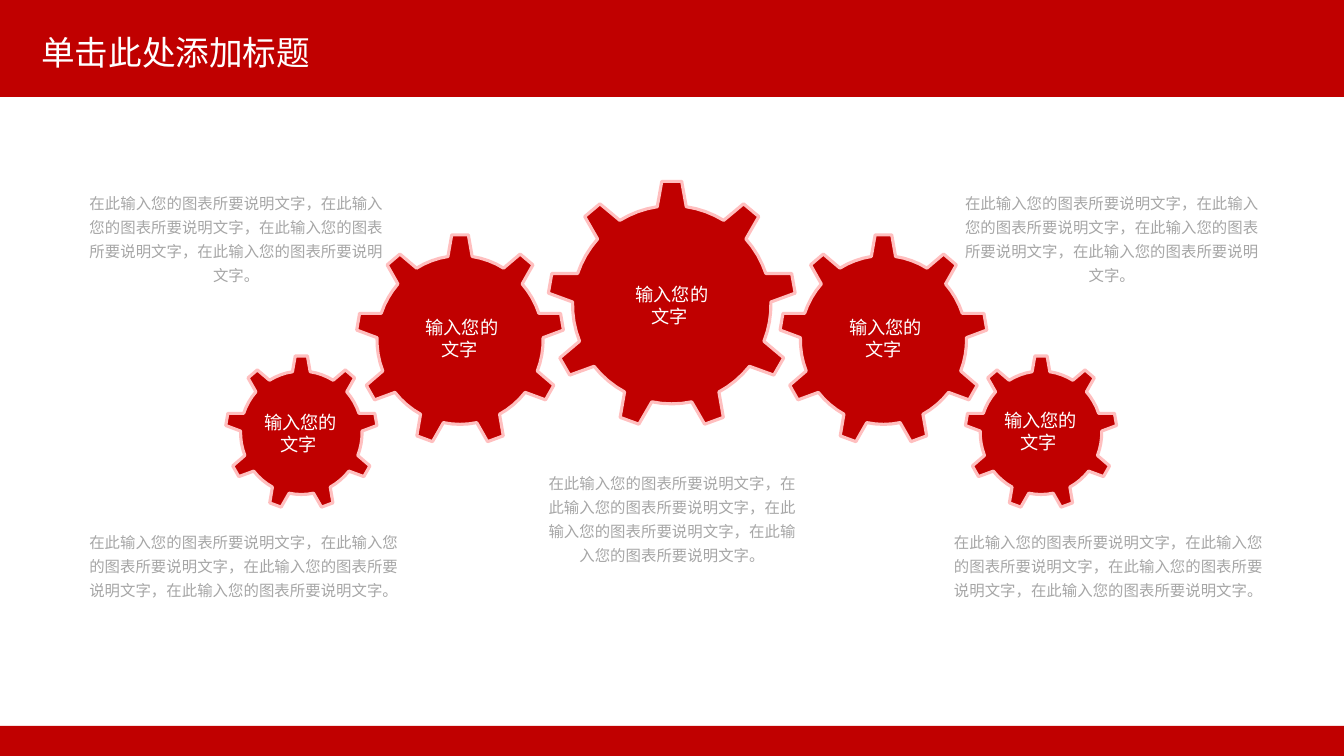
from math import cos, radians, sin

from lxml import etree
from pptx import Presentation
from pptx import util as u
from pptx.dml.color import RGBColor
from pptx.enum import shapes, text
from pptx.oxml.ns import qn

HUES = {"red": "C00000", "pink": "FFBFBF", "gray": "A6A6A6", "white": "FFFFFF"}
SANS = "Noto Sans CJK SC"
WIDE, HIGH = 33.87, 19.05
TEETH = 9
BODY = 0.8  # body radius as a share of the tip radius
# One tooth and the arc after it: (degrees from the tooth's axis, radius share)
TOOTH = [(-8.4, BODY), (-4.6, 1), (4.6, 1), (8.4, BODY),
         (14.2, BODY), (20, BODY), (25.8, BODY)]

NOTE = "在此输入您的图表所要说明文字，" * 3 + "在此输入您的图表所要说明文字。"
LABEL = [" 输入您的", "文字"]

# Gear box (left, top, width, height) and the left, top of its label, in cm
GEARS = [
    ((8.99, 5.92, 5.21, 5.21), (9.75, 7.8)),
    ((19.66, 5.92, 5.21, 5.21), (20.42, 7.8)),
    ((13.82, 4.57, 6.22, 6.12), (15.04, 6.96)),
    ((5.69, 8.97, 3.81, 3.81), (5.69, 10.19)),
    ((24.33, 8.97, 3.81, 3.81), (24.33, 10.13)),
]
NOTES = [
    (13.36, 11.63, 7.16, 2.79),
    (23.83, 4.57, 8.38, 2.79),
    (1.88, 4.57, 8.15, 2.79),
    (23.67, 13.11, 8.53, 2.18),
    (1.88, 13.11, 8.53, 2.18),
]


def hue(name):
    return RGBColor.from_string(HUES[name])


def paint(shape, edge=None):
    """Fill the shape red, with an optional outline."""
    shape.shadow.inherit = False
    shape.fill.solid()
    shape.fill.fore_color.rgb = hue("red")
    if edge:
        shape.line.color.rgb = hue(edge)
        shape.line.width = u.Pt(2.25)
    else:
        shape.line.fill.background()


def add_band(slide, top, high):
    paint(slide.shapes.add_shape(shapes.MSO_SHAPE.RECTANGLE, 0, u.Cm(top),
                                 u.Cm(WIDE), u.Cm(high)))


def add_gear(slide, left, top, wide, high):
    """Draw a gear whose teeth touch the sides of the given box."""
    tip = TOOTH[2][0]
    step = 360 / TEETH
    rx = wide / 2 / sin(radians(2 * step + tip))
    ry = high / (cos(radians(tip)) + cos(radians(step / 2 - tip)))
    midx, midy = left + wide / 2, top + ry * cos(radians(tip))
    dots = []
    for k in range(TEETH):
        for turn, share in TOOTH:
            angle = radians(k * step + turn)
            dots.append((u.Cm(midx + rx * share * sin(angle)),
                         u.Cm(midy - ry * share * cos(angle))))
    path = slide.shapes.build_freeform(*dots[0])
    path.add_line_segments(dots[1:], close=True)
    paint(path.convert_to_shape(), "pink")


def add_text(slide, box, lines, size, color, font=SANS, center=True, space=None):
    shape = slide.shapes.add_textbox(*(u.Cm(n) for n in box))
    frame = shape.text_frame
    frame.word_wrap = True
    if center:
        frame.auto_size = text.MSO_AUTO_SIZE.SHAPE_TO_FIT_TEXT
        frame.margin_left = frame.margin_right = u.Cm(0.33)
        frame.margin_top = frame.margin_bottom = u.Cm(0.18)
    else:
        frame.vertical_anchor = text.MSO_ANCHOR.MIDDLE
    for i, line in enumerate(lines):
        para = frame.add_paragraph() if i else frame.paragraphs[0]
        para.alignment = text.PP_ALIGN.CENTER if center else text.PP_ALIGN.LEFT
        if space:
            para.line_spacing = space
        run = para.add_run()
        run.text = line
        run.font.size = u.Pt(size)
        run.font.name = font
        run.font.color.rgb = hue(color)
        etree.SubElement(run.font._element, qn("a:ea"), typeface=SANS)


def main():
    deck = Presentation()
    deck.slide_width, deck.slide_height = u.Cm(WIDE), u.Cm(HIGH)
    slide = deck.slides.add_slide(deck.slide_layouts[6])
    add_band(slide, 0, 2.44)
    add_band(slide, 18.29, 0.76)
    for box, spot in GEARS:
        add_gear(slide, *box)
        add_text(slide, (*spot, 3.68, 1.47), LABEL, 13, "white")
    for box in NOTES:
        add_text(slide, box, [NOTE], 11, "gray", space=1.3)
    add_text(slide, (0.79, 0.53, 29.21, 1.68), ["单击此处添加标题"], 24,
             "white", font="Montserrat", center=False, space=0.9)
    deck.save("out.pptx")


if __name__ == "__main__":
    main()
